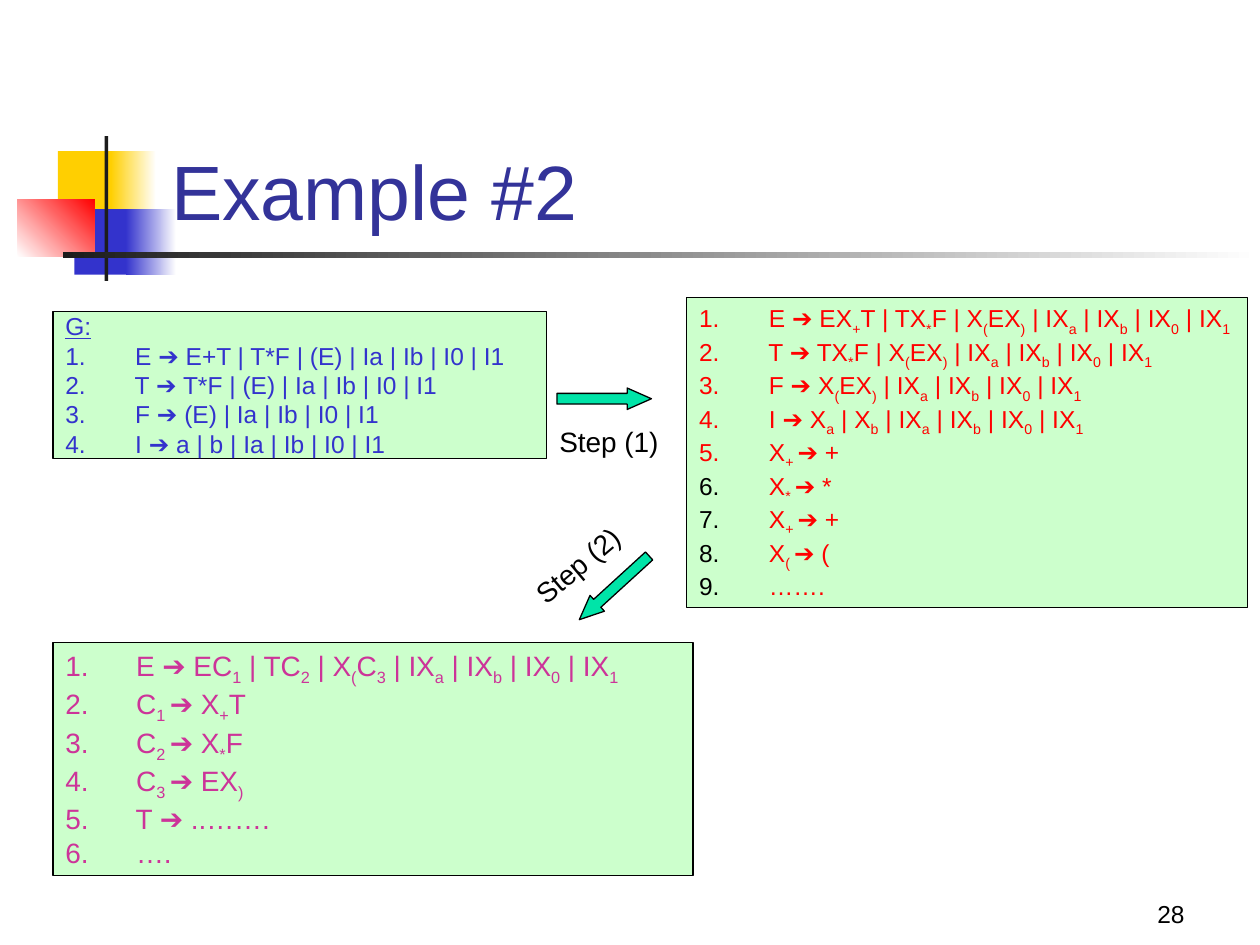
from dataclasses import dataclass

from lxml.etree import SubElement
from pptx import Presentation
from pptx.dml.color import RGBColor
from pptx.enum.shapes import MSO_SHAPE as Shape
from pptx.enum.text import MSO_ANCHOR as Anchor, MSO_AUTO_SIZE as AutoSize, PP_ALIGN as Align
from pptx.oxml.ns import qn
from pptx.util import Inches, Pt


@dataclass(frozen=True)
class Theme:
    font: str = "Arial"
    title: str = "333399"
    black: str = "000000"
    white: str = "FFFFFF"
    yellow: str = "FFCF01"
    blue: str = "3333CC"
    red: str = "FF0000"
    magenta: str = "CC3499"
    dark: str = "1C1C1C"
    panel: str = "CCFFCC"
    arrow: str = "00E4A8"
    title_size: int = 44
    small: int = 14
    medium: int = 16
    subscript: int = -25000


THEME = Theme()
SUBSCRIPT_MARK = "~"

DECORATIONS = [
    ((0.46, 1.2, 0.48, 0.52), (THEME.yellow,), 0),
    ((0.88, 1.2, 0.36, 0.52), (THEME.yellow, THEME.white), 0),
    ((0.59, 1.66, 0.46, 0.52), (THEME.blue,), 0),
    ((1, 1.66, 0.4, 0.52), (THEME.blue, THEME.white), 0),
    ((0.14, 1.58, 0.61, 0.46), (THEME.white, THEME.red), 45),
    ((0.83, 1.08, 0.03, 1.15), (THEME.dark,), 0),
    ((0.5, 2, 9.5, 0.05), (THEME.dark, THEME.white), 0),
]

PANELS = [
    dict(
        box=(0.42, 2.47, 3.92, 1.17), color=THEME.blue, size=THEME.small,
        inset=0, wrap=True, heading="G:", black_from=None,
        rules=[
            "E ➔ E+T | T*F | (E) | Ia | Ib | I0 | I1",
            "T ➔ T*F | (E) | Ia | Ib | I0 | I1",
            "F ➔ (E) | Ia | Ib | I0 | I1",
            "I ➔ a | b | Ia | Ib | I0 | I1",
        ],
    ),
    dict(
        box=(5.45, 2.36, 4.45, 2.46), color=THEME.red, size=THEME.small,
        inset=0.05, wrap=False, heading=None, black_from=6,
        rules=[
            "E ➔ EX~+~T | TX~*~F | X~(~EX~)~ | IX~a~ | IX~b~ | IX~0~ | IX~1~",
            "T ➔ TX~*~F | X~(~EX~)~ | IX~a~ | IX~b~ | IX~0~ | IX~1~",
            "F ➔ X~(~EX~)~ | IX~a~ | IX~b~ | IX~0~ | IX~1~",
            "I ➔ X~a~ | X~b~ | IX~a~ | IX~b~ | IX~0~ | IX~1~",
            "X~+ ~➔ +",
            "X~* ~➔ *",
            "X~+ ~➔ +",
            "X~( ~➔ (",
            "…….",
        ],
    ),
    dict(
        box=(0.42, 5.1, 5.08, 1.85), color=THEME.magenta, size=THEME.medium,
        inset=0.05, wrap=True, heading=None, black_from=None,
        rules=[
            "E ➔ EC~1~ | TC~2~ | X~(~C~3~ | IX~a~ | IX~b~ | IX~0~ | IX~1~",
            "C~1 ~➔ X~+~T",
            "C~2 ~➔ X~*~F",
            "C~3 ~➔ EX~)~",
            "T ➔ ..…….",
            "….",
        ],
    ),
]

STEPS = [
    ("Step (1)", (4.34, 3.32, 0.99, 0.37), 0, (4.42, 3.08, 0.75, 0.17), 0),
    ("Step (2)", (4.09, 4.3, 0.99, 0.37), 319.9, (4.5, 4.58, 0.75, 0.17), 137.6),
]


def rgb(color):
    return RGBColor.from_string(color)


def inches(box):
    return [Inches(length) for length in box]


def add_run(paragraph, text, size, color, subscript=False):
    run = paragraph.add_run()
    run.text = text
    run.font.name = THEME.font
    run.font.size = Pt(size)
    run.font.color.rgb = rgb(color)
    if subscript:
        run.font._element.set("baseline", str(THEME.subscript))
    return run


def add_shape(slide, preset, box, colors, angle=0, outlined=False):
    shape = slide.shapes.add_shape(preset, *inches(box))
    shape.shadow.inherit = False
    if len(colors) == 1:
        shape.fill.solid()
        shape.fill.fore_color.rgb = rgb(colors[0])
    else:
        shape.fill.gradient()
        shape.fill.gradient_angle = angle
        for position, (stop, color) in enumerate(zip(shape.fill.gradient_stops, colors)):
            stop.position = position
            stop.color.rgb = rgb(color)
    if outlined:
        shape.line.color.rgb = rgb(THEME.black)
        shape.line.width = Pt(0.75)
    else:
        shape.line.fill.background()
    return shape


def add_label(slide, text, box, size, color, align=Align.LEFT, anchor=Anchor.TOP, wrap=True):
    label = slide.shapes.add_textbox(*inches(box))
    frame = label.text_frame
    frame.word_wrap = wrap
    frame.vertical_anchor = anchor
    frame.paragraphs[0].alignment = align
    add_run(frame.paragraphs[0], text, size, color)
    return label


def set_hanging(paragraph):
    properties = paragraph._p.get_or_add_pPr()
    properties.set("marL", str(Inches(0.5)))
    properties.set("indent", str(-Inches(0.5)))
    return properties


def set_number(paragraph, color):
    properties = set_hanging(paragraph)
    bullet_color = SubElement(properties, qn("a:buClr"))
    SubElement(bullet_color, qn("a:srgbClr")).set("val", color)
    SubElement(properties, qn("a:buFont")).set("typeface", THEME.font)
    SubElement(properties, qn("a:buAutoNum")).set("type", "arabicPeriod")


def add_panel(slide, box, color, size, inset, wrap, heading, black_from, rules):
    frame = add_shape(slide, Shape.RECTANGLE, box, (THEME.panel,), outlined=True).text_frame
    frame.word_wrap = wrap
    frame.auto_size = AutoSize.SHAPE_TO_FIT_TEXT
    frame.vertical_anchor = Anchor.TOP
    frame.margin_top = frame.margin_bottom = Inches(inset)
    paragraph = frame.paragraphs[0]
    if heading:
        paragraph.alignment = Align.LEFT
        set_hanging(paragraph)
        add_run(paragraph, heading, size, color).font.underline = True
    for number, rule in enumerate(rules, 1):
        if heading or number > 1:
            paragraph = frame.add_paragraph()
        paragraph.alignment = Align.LEFT
        number_color = THEME.black if black_from and number >= black_from else color
        set_number(paragraph, number_color)
        add_run(paragraph, " ", size, number_color)
        for index, part in enumerate(rule.split(SUBSCRIPT_MARK)):
            if part:
                add_run(paragraph, part, size, color, subscript=index % 2 == 1)


def add_step(slide, text, label_box, label_angle, arrow_box, arrow_angle):
    arrow = add_shape(slide, Shape.RIGHT_ARROW, arrow_box, (THEME.arrow,), outlined=True)
    arrow.adjustments[0] = 0.5
    arrow.adjustments[1] = 1.13
    arrow.rotation = arrow_angle
    label = add_label(slide, text, label_box, THEME.medium, THEME.black, wrap=False)
    label.rotation = label_angle


def main():
    presentation = Presentation()
    presentation.slide_width, presentation.slide_height = Inches(10), Inches(7.5)
    slide = presentation.slides.add_slide(presentation.slide_layouts[6])
    for box, colors, angle in DECORATIONS:
        add_shape(slide, Shape.RECTANGLE, box, colors, angle)
    add_label(slide, "28", (7.42, 6.92, 2.08, 0.5), THEME.small, THEME.black,
              Align.RIGHT, Anchor.BOTTOM)
    add_label(slide, "Example #2", (1.26, 0.67, 8.52, 1.25), THEME.title_size, THEME.title,
              anchor=Anchor.BOTTOM)
    for panel in PANELS:
        add_panel(slide, **panel)
    for step in STEPS:
        add_step(slide, *step)
    presentation.save("out.pptx")


if __name__ == "__main__":
    main()
